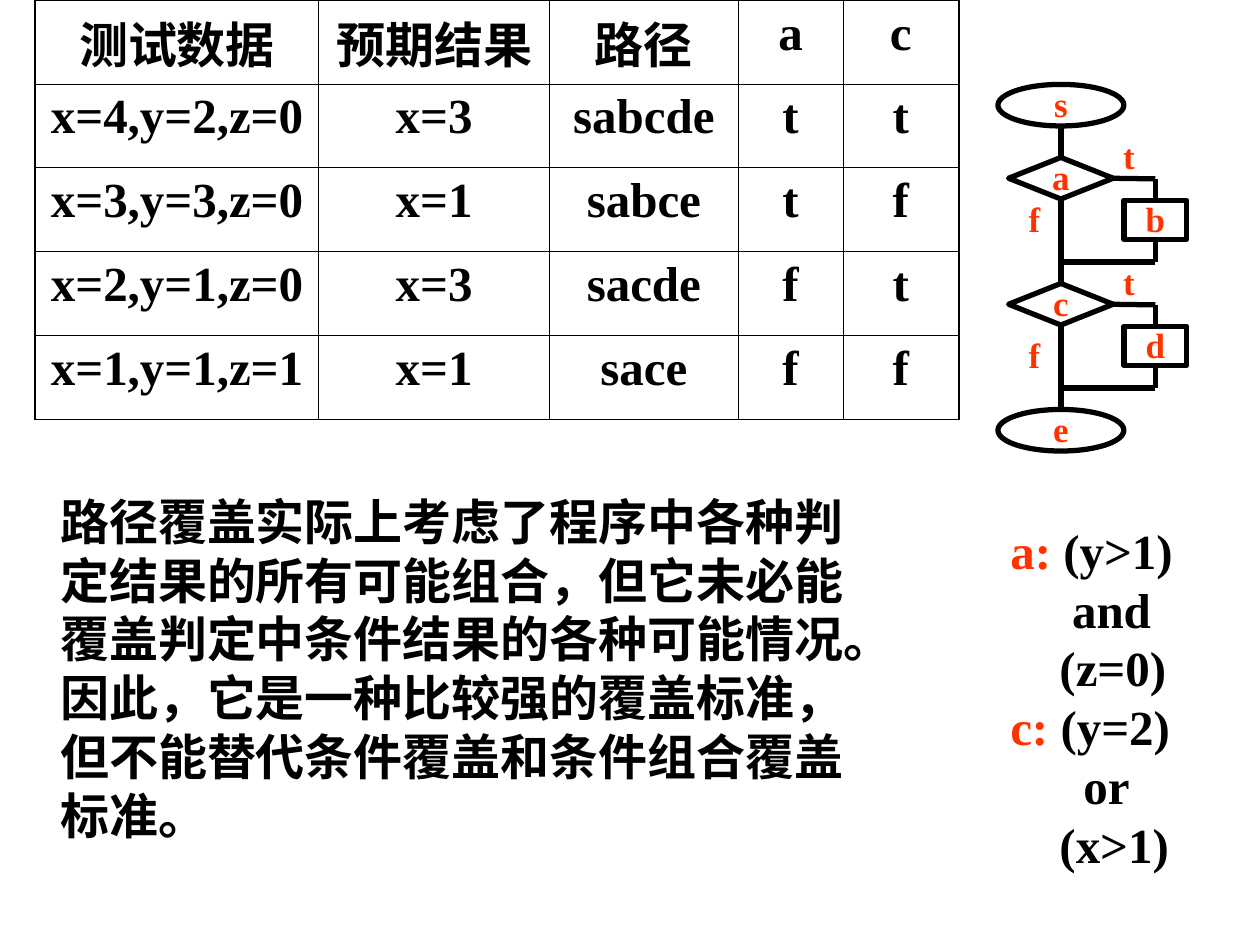
from dataclasses import dataclass

from lxml.etree import SubElement
from pptx import Presentation
from pptx.dml.color import RGBColor as RGB
from pptx.enum.shapes import MSO_CONNECTOR as Line, MSO_SHAPE as Shape
from pptx.enum.text import MSO_ANCHOR as Anchor, PP_ALIGN as Align
from pptx.oxml import parse_xml
from pptx.oxml.ns import nsdecls, qn
from pptx.util import Inches, Pt


@dataclass(frozen=True)
class Theme:
    face: str = "Times New Roman"
    ink: RGB = RGB(0, 0, 0)
    red: RGB = RGB(0xFF, 0x33, 0x00)
    text: int = 28
    label: int = 20
    stroke: int = 3
    edge: float = 1.08
    rule: float = 0.45


THEME = Theme()
MID = 8.42   # main axis of the flow chart
SIDE = 9.17  # axis of the "true" branch

ROWS = [
    ("测试数据", "预期结果", "路径", "a", "c"),
    ("x=4,y=2,z=0", "x=3", "sabcde", "t", "t"),
    ("x=3,y=3,z=0", "x=1", "sabce", "t", "f"),
    ("x=2,y=1,z=0", "x=3", "sacde", "f", "t"),
    ("x=1,y=1,z=1", "x=1", "sace", "f", "f"),
]
WIDTHS = (2.25, 1.83, 1.5, 0.83, 0.92)
HEIGHT = 3.33

# Name (may be empty), condition and indent of each line
TERMS = [
    ("a: ", "(y>1)", 0), ("", "and", 0.49), ("", "(z=0)", 0.39),
    ("c: ", "(y=2)", 0), ("", "or", 0.58), ("", "(x>1)", 0.39),
]
NOTE = (
    "路径覆盖实际上考虑了程序中各种判定结果的所有可能组合，"
    "但它未必能覆盖判定中条件结果的各种可能情况。"
    "因此，它是一种比较强的覆盖标准，"
    "但不能替代条件覆盖和条件组合覆盖标准。"
)


def style(para, size, color=None):
    font = para.font
    font.name, font.size, font.bold = THEME.face, Pt(size), True
    if color is not None:
        font.color.rgb = color


def add_box(shapes, left, top, width, height, wrap=True):
    box = shapes.add_textbox(*map(Inches, (left, top, width, height)))
    box.text_frame.word_wrap = wrap
    return box.text_frame


def tag(frame, text):
    """Write a centred flow chart label."""
    frame.vertical_anchor = Anchor.MIDDLE
    para = frame.paragraphs[0]
    para.text, para.alignment, para.line_spacing = text, Align.CENTER, 1.05
    style(para, THEME.label, THEME.red)


def add_node(shapes, kind, text, mid, top, width, height):
    node = shapes.add_shape(
        kind, *map(Inches, (mid - width / 2, top, width, height)))
    node.shadow.inherit = False
    node.fill.background()
    node.line.color.rgb = THEME.ink
    node.line.width = Pt(THEME.stroke)
    frame = node.text_frame
    frame.word_wrap = False
    frame.margin_left = frame.margin_right = frame.margin_top = 0
    frame.margin_bottom = Inches(0.04)
    tag(frame, text)
    return node


def add_line(shapes, start, end, tail=None, head=None):
    """Draw a line; tail and head are (node, site) pairs to join."""
    line = shapes.add_connector(
        Line.STRAIGHT, *map(Inches, (*start, *end)))
    line.line.color.rgb = THEME.ink
    line.line.width = Pt(THEME.stroke)
    SubElement(line._element.spPr, qn("a:effectLst"))
    if tail:
        line.begin_connect(*tail)
    if head:
        line.end_connect(*head)


def add_test(shapes, top, name, step, drop):
    """Draw a decision with its side step; drop is the top of the f label."""
    test = add_node(shapes, Shape.DIAMOND, name, MID, top, 0.83, 0.33)
    task = add_node(shapes, Shape.RECTANGLE, step, SIDE, top + 0.34, 0.5, 0.31)
    half, join = top + 0.17, top + 0.83
    add_line(shapes, (8.83, half), (SIDE, half), tail=(test, 3))
    add_line(shapes, (SIDE, half), (SIDE, top + 0.34), head=(task, 0))
    add_line(shapes, (SIDE, top + 0.65), (SIDE, join), tail=(task, 2))
    add_line(shapes, (SIDE, join), (MID, join))
    for text, left, y in (("t", 8.81, top - 0.25), ("f", 8.06, drop)):
        tag(add_box(shapes, left, y, 0.3, 0.45, wrap=False), text)
    return test


def add_flow(slide):
    shapes = slide.shapes.add_group_shape().shapes
    for text, top in (("s", 0.67), ("e", 3.25)):
        add_node(shapes, Shape.OVAL, text, MID, top, 1, 0.33)
    first = add_test(shapes, 1.25, "a", "b", 1.5)
    second = add_test(shapes, 2.25, "c", "d", 2.58)
    # Main axis
    add_line(shapes, (MID, 1), (MID, 1.25), head=(first, 0))
    add_line(shapes, (MID, 1.58), (MID, 2.25), (first, 2), (second, 0))
    add_line(shapes, (MID, 2.58), (MID, 3.25), tail=(second, 2))


def set_edges(cell, outer):
    props = cell._tc.get_or_add_tcPr()
    for side in "LRTB":
        width = Pt(THEME.edge if side in outer else THEME.rule)
        props.append(parse_xml(
            f'<a:ln{side} {nsdecls("a")} w="{width}"><a:solidFill>'
            f'<a:srgbClr val="{THEME.ink}"/></a:solidFill></a:ln{side}>'))


def add_grid(slide):
    rows, cols = len(ROWS), len(WIDTHS)
    table = slide.shapes.add_table(
        rows, cols, Inches(0.28), 0,
        Inches(sum(WIDTHS)), Inches(HEIGHT)).table
    table.first_row = table.horz_banding = False
    for col, width in zip(table.columns, WIDTHS):
        col.width = Inches(width)
    for r, texts in enumerate(ROWS):
        table.rows[r].height = Inches(HEIGHT / rows)
        for c, text in enumerate(texts):
            cell = table.cell(r, c)
            sides = {"L": c == 0, "R": c == cols - 1,
                     "T": r == 0, "B": r == rows - 1}
            set_edges(cell, [side for side, on in sides.items() if on])
            cell.fill.background()
            para = cell.text_frame.paragraphs[0]
            para.text, para.alignment = text, Align.CENTER
            style(para, THEME.text, THEME.ink)


def add_terms(slide):
    frame = add_box(slide.shapes, 7.92, 4.08, 1.58, 2.9)
    frame.vertical_anchor = Anchor.MIDDLE
    for i, (name, rule, indent) in enumerate(TERMS):
        para = frame.add_paragraph() if i else frame.paragraphs[0]
        para._p.get_or_add_pPr().set("marL", str(Inches(indent)))
        style(para, THEME.text)
        for text, color in ((name, THEME.red), (rule, THEME.ink)):
            if text:
                run = para.add_run()
                run.text, run.font.color.rgb = text, color


def add_note(slide):
    para = add_box(slide.shapes, 0.38, 3.85, 6.66, 2.9).paragraphs[0]
    para.text = NOTE
    style(para, THEME.text, THEME.ink)


def main():
    deck = Presentation()
    deck.slide_width, deck.slide_height = Inches(10), Inches(7.5)
    slide = deck.slides.add_slide(deck.slide_layouts[6])
    add_flow(slide)
    add_terms(slide)
    add_grid(slide)
    add_note(slide)
    deck.save("out.pptx")


if __name__ == "__main__":
    main()
